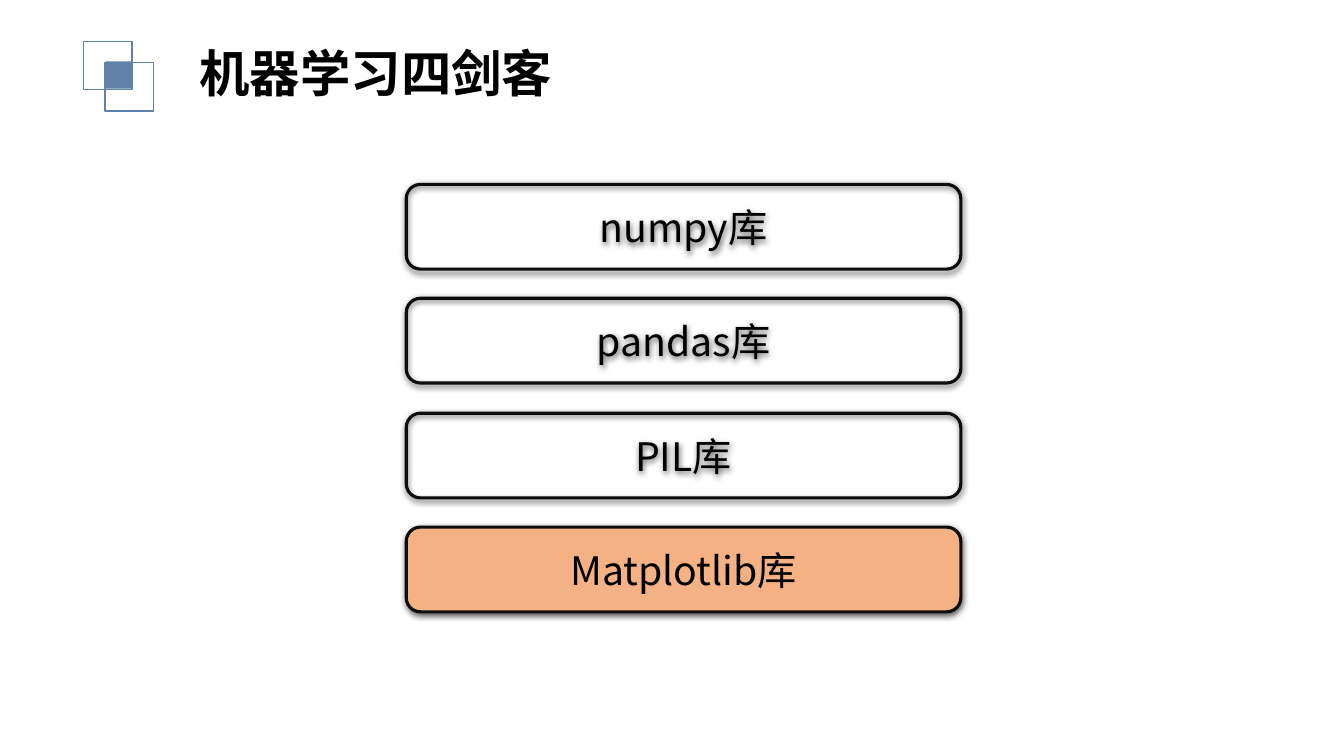
from dataclasses import dataclass
from typing import Optional

import pptx
import pptx.dml.color
import pptx.enum.shapes
import pptx.enum.text
import pptx.oxml
import pptx.oxml.ns
import pptx.util
from pptx.shapes.autoshape import Shape
from pptx.slide import Slide
from pptx.text.text import TextFrame

EMU_PER_PX = 9144  # 100 px to the inch
RECT = pptx.enum.shapes.MSO_SHAPE.RECTANGLE
ROUNDED = pptx.enum.shapes.MSO_SHAPE.ROUNDED_RECTANGLE


@dataclass(frozen=True)
class Theme:
    font: str = "Noto Sans CJK SC"
    text: str = "000000"
    accent: str = "6082A9"
    outline: str = "0D0D0D"
    highlight: str = "F4B183"
    title_pt: int = 36
    library_pt: int = 28
    emblem_line_pt: float = 1
    library_line_pt: float = 2.25


@dataclass(frozen=True)
class Box:
    left: int
    top: int
    width: int
    height: int

    def emu(self) -> tuple[pptx.util.Emu, ...]:
        sides = (self.left, self.top, self.width, self.height)
        return tuple(pptx.util.Emu(side * EMU_PER_PX) for side in sides)


@dataclass(frozen=True)
class EmblemSquare:
    box: Box
    filled: bool = False


@dataclass(frozen=True)
class Library:
    label: str
    fill: Optional[str] = None


THEME = Theme()
TITLE_BOX = Box(188, 37, 412, 71)
EMBLEM = (
    EmblemSquare(Box(83, 41, 48, 48)),
    EmblemSquare(Box(104, 62, 48, 48)),
    EmblemSquare(Box(105, 61, 25, 27), filled=True),
)
LIBRARIES = (
    Library("numpy库"),
    Library("pandas库"),
    Library("PIL库"),
    Library("Matplotlib库", THEME.highlight),
)
FIRST_LIBRARY = Box(403, 183, 550, 84)
LAST_LIBRARY_TOP = 523


def rgb(value: str) -> pptx.dml.color.RGBColor:
    return pptx.dml.color.RGBColor.from_string(value)


def write(frame: TextFrame, text: str, size: int, bold: bool = False) -> None:
    """Set one styled paragraph, with the font for Latin and Chinese alike."""
    paragraph = frame.paragraphs[0]
    paragraph.text = text
    font = paragraph.font
    font.size = pptx.util.Pt(size)
    font.bold = bold
    font.color.rgb = rgb(THEME.text)
    font.name = THEME.font
    defaults = paragraph._p.find(".//" + pptx.oxml.ns.qn("a:defRPr"))
    defaults.append(pptx.oxml.parse_xml(
        f'<a:ea {pptx.oxml.ns.nsdecls("a")} typeface="{THEME.font}"/>'))


def add_panel(slide: Slide, kind: pptx.enum.shapes.MSO_SHAPE, box: Box,
              fill: Optional[str], line: Optional[str], line_pt: float) -> Shape:
    panel = slide.shapes.add_shape(kind, *box.emu())
    panel.shadow.inherit = False
    if fill:
        panel.fill.solid()
        panel.fill.fore_color.rgb = rgb(fill)
    else:
        panel.fill.background()
    if line:
        panel.line.color.rgb = rgb(line)
        panel.line.width = pptx.util.Pt(line_pt)
    else:
        panel.line.fill.background()
    return panel


def add_soft_shadow(panel: Shape) -> None:
    effects = panel._element.spPr.find(pptx.oxml.ns.qn("a:effectLst"))
    effects.append(pptx.oxml.parse_xml(
        f'<a:outerShdw {pptx.oxml.ns.nsdecls("a")} blurRad="57150" dist="19050" '
        'dir="5400000" algn="ctr" rotWithShape="0">'
        '<a:srgbClr val="000000"><a:alpha val="63000"/></a:srgbClr>'
        '</a:outerShdw>'))


def add_emblem_square(slide: Slide, square: EmblemSquare) -> None:
    fill, line = (THEME.accent, None) if square.filled else (None, THEME.accent)
    add_panel(slide, RECT, square.box, fill, line, THEME.emblem_line_pt)


def add_title(slide: Slide, text: str) -> None:
    frame = slide.shapes.add_textbox(*TITLE_BOX.emu()).text_frame
    frame.word_wrap = True
    frame.auto_size = pptx.enum.text.MSO_AUTO_SIZE.SHAPE_TO_FIT_TEXT
    write(frame, text, THEME.title_pt, bold=True)


def add_library(slide: Slide, library: Library, box: Box) -> None:
    panel = add_panel(slide, ROUNDED, box, library.fill, THEME.outline,
                      THEME.library_line_pt)
    add_soft_shadow(panel)
    frame = panel.text_frame
    frame.vertical_anchor = pptx.enum.text.MSO_ANCHOR.MIDDLE
    frame.paragraphs[0].alignment = pptx.enum.text.PP_ALIGN.CENTER
    write(frame, library.label, THEME.library_pt)


def main() -> None:
    deck = pptx.Presentation()
    deck.slide_width = pptx.util.Emu(1333 * EMU_PER_PX)
    deck.slide_height = pptx.util.Emu(750 * EMU_PER_PX)
    slide = deck.slides.add_slide(deck.slide_layouts[6])

    for square in EMBLEM:
        add_emblem_square(slide, square)
    add_title(slide, "机器学习四剑客")

    first = FIRST_LIBRARY
    pitch = (LAST_LIBRARY_TOP - first.top) / (len(LIBRARIES) - 1)
    for index, library in enumerate(LIBRARIES):
        top = first.top + round(index * pitch)
        add_library(slide, library, Box(first.left, top, first.width, first.height))

    deck.save("out.pptx")


if __name__ == "__main__":
    main()
